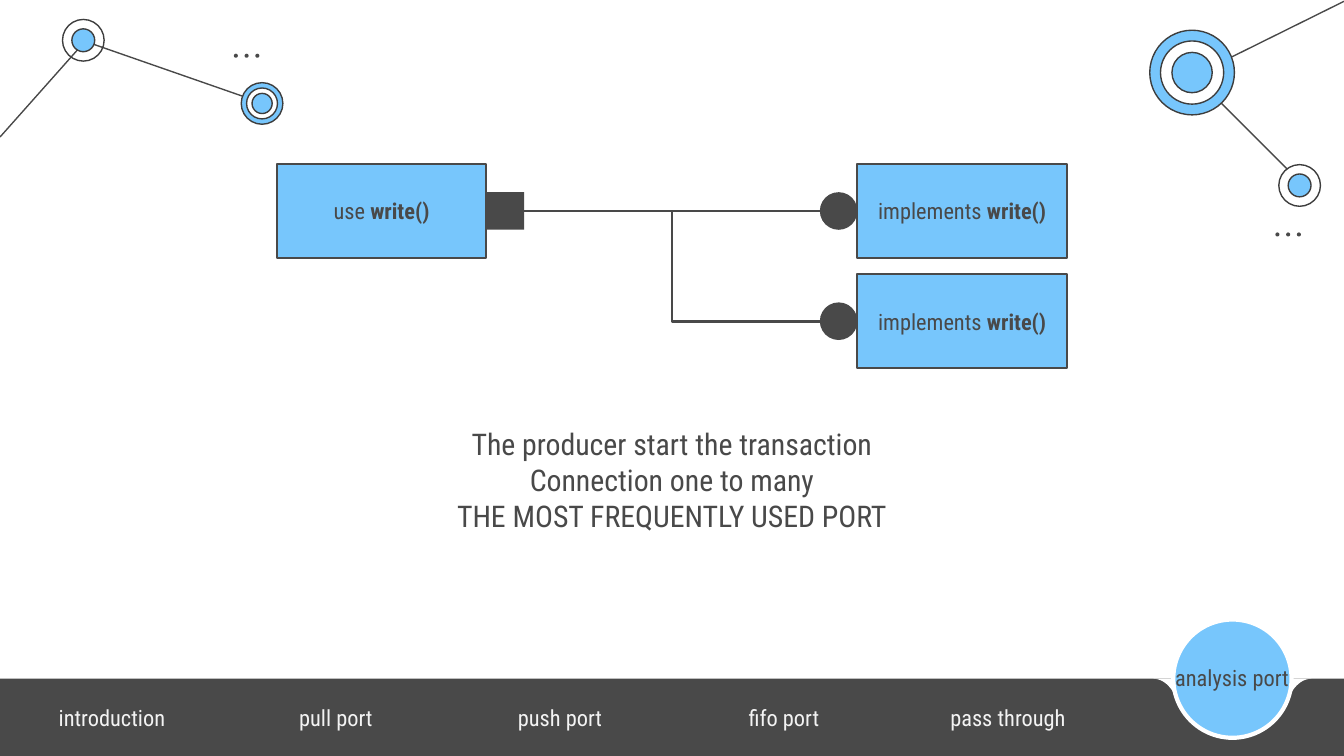
from dataclasses import dataclass

from lxml import etree
from pptx import Presentation
from pptx.dml.color import RGBColor
from pptx.enum.shapes import MSO_CONNECTOR, MSO_SHAPE
from pptx.enum.text import MSO_ANCHOR, PP_ALIGN
from pptx.oxml.ns import qn
from pptx.util import Emu, Pt

RECTANGLE, ELLIPSE = MSO_SHAPE.RECTANGLE, MSO_SHAPE.OVAL
STRAIGHT, ELBOW = MSO_CONNECTOR.STRAIGHT, MSO_CONNECTOR.ELBOW
CENTER, MIDDLE, TOP = PP_ALIGN.CENTER, MSO_ANCHOR.MIDDLE, MSO_ANCHOR.TOP
RIGHT_SIDE = 3

EMU_PER_PX = 9144  # 100 px to the inch
SLIDE_WIDTH = 1000
BAR_TOP, BAR_HEIGHT = 505, 58
BOX_WIDTH, BOX_HEIGHT, PORT_SIZE = 156, 70, 28


@dataclass(frozen=True)
class Theme:
    font: str = "Roboto Condensed"
    dark: str = "494949"
    outline: str = "3D3D3D"
    blue: str = "77C6FC"
    white: str = "FFFFFF"
    pale: str = "F3F3F3"
    label_size: int = 12
    body_size: int = 16


THEME = Theme()

NAVIGATION = ["introduction", "pull port", "push port", "fifo port", "pass through"]
SUMMARY = [
    "The producer start the transaction",
    "Connection one to many",
    "THE MOST FREQUENTLY USED PORT",
]
# Centre x, centre y, then (diameter, fill) from the outside in
TARGETS = [
    (62, 30, [(31, None), (17, THEME.blue)]),
    (195, 77, [(31, THEME.blue), (23, THEME.white), (15, THEME.blue)]),
    (887, 54, [(63, THEME.blue), (47, THEME.white), (30, THEME.blue)]),
    (967, 138, [(31, THEME.white), (17, THEME.blue)]),
]
TARGET_LINKS = [
    (967, 135, 887, 55),
    (64, 31, 196, 77),
    (0, 102, 64, 30),
    (1000, 1, 891, 55),
]
DOT_ROWS = [(174, 40), (949, 173)]


def px(length):
    return Emu(round(length * EMU_PER_PX))


def color(value):
    return RGBColor.from_string(value)


def apply_format(target, values):
    for name, value in values.items():
        setattr(target, name, value)


def paint(shape, fill, line=None, width=0.75):
    shape.shadow.inherit = False
    if fill:
        shape.fill.solid()
        shape.fill.fore_color.rgb = color(fill)
    else:
        shape.fill.background()
    if line:
        shape.line.color.rgb = color(line)
        shape.line.width = Pt(width)
    else:
        shape.line.fill.background()


def add_shape(slide, kind, x, y, width, height, fill, line=None, line_width=0.75):
    shape = slide.shapes.add_shape(kind, px(x), px(y), px(width), px(height))
    paint(shape, fill, line, line_width)
    return shape


def add_line(slide, points, width=0.75, kind=STRAIGHT):
    connector = slide.shapes.add_connector(kind, *[px(value) for value in points])
    connector.line.color.rgb = color(THEME.dark)
    connector.line.width = Pt(width)
    etree.SubElement(connector._element.spPr, qn("a:effectLst"))
    return connector


def write(shape, paragraphs, size=THEME.label_size, text_color=THEME.dark, anchor=MIDDLE):
    """Each paragraph is a list of (text, bold) runs."""
    frame = shape.text_frame
    apply_format(frame, {"word_wrap": True, "vertical_anchor": anchor})
    for index, runs in enumerate(paragraphs):
        paragraph = frame.add_paragraph() if index else frame.paragraphs[0]
        paragraph.alignment = CENTER
        for text, bold in runs:
            run = paragraph.add_run()
            run.text = text
            apply_format(run.font, {"name": THEME.font, "size": Pt(size), "bold": bold})
            run.font.color.rgb = color(text_color)


def add_text(slide, x, y, width, height, lines, **style):
    box = slide.shapes.add_textbox(px(x), px(y), px(width), px(height))
    write(box, [[(line, False)] for line in lines], **style)
    return box


def add_target(slide, center_x, center_y, rings):
    for diameter, fill in rings:
        x, y = center_x - diameter / 2, center_y - diameter / 2
        add_shape(slide, ELLIPSE, x, y, diameter, diameter, fill, THEME.outline)


def add_dots(slide, x, y):
    for index in range(3):
        add_shape(slide, ELLIPSE, x + 8 * index, y, 3, 3, THEME.dark)


def curve_points(start, control_1, control_2, end, steps=12):
    points = []
    for step in range(steps + 1):
        t = step / steps
        weights = ((1 - t) ** 3, 3 * t * (1 - t) ** 2, 3 * t ** 2 * (1 - t), t ** 3)
        corners = (start, control_1, control_2, end)
        points.append(tuple(sum(w * c[axis] for w, c in zip(weights, corners))
                            for axis in (0, 1)))
    return points


def add_notch(slide, center_x, side):
    """White cut-out beside the tab circle; side is -1 for left, 1 for right."""
    curve = curve_points((43, 12), (47, 4), (53, 0), (59, 0))
    outline = [(59, 0), (34, 0), (34, 15), (41, 15)] + curve
    points = [(px(center_x + side * x), px(BAR_TOP + y)) for x, y in outline]
    builder = slide.shapes.build_freeform(*points[0], scale=1.0)
    builder.add_line_segments(points[1:], close=True)
    paint(builder.convert_to_shape(), THEME.white)


def add_block(slide, x, y, verb):
    block = add_shape(slide, RECTANGLE, x, y, BOX_WIDTH, BOX_HEIGHT,
                      THEME.blue, THEME.dark, 1)
    write(block, [[(verb + " ", False), ("write()", True)]])


def add_background(slide):
    for link in TARGET_LINKS:
        add_line(slide, link)
    for target in TARGETS:
        add_target(slide, *target)
    for row in DOT_ROWS:
        add_dots(slide, *row)


def add_navigation(slide):
    add_shape(slide, RECTANGLE, 0, BAR_TOP, SLIDE_WIDTH, BAR_HEIGHT, THEME.dark)
    column = SLIDE_WIDTH / 6
    for index, label in enumerate(NAVIGATION):
        add_text(slide, index * column, BAR_TOP, column, BAR_HEIGHT, [label],
                 text_color=THEME.pale)
    # Current section tab
    for side in (-1, 1):
        add_notch(slide, 917, side)
    add_shape(slide, ELLIPSE, 873, 461, 88, 88, THEME.blue, THEME.white, 2.25)
    add_text(slide, 5 * column, 475, column, BAR_HEIGHT, ["analysis port"])


def add_diagram(slide):
    producer_x, consumer_x, top = 206, 638, 122
    port_x, export_x = producer_x + BOX_WIDTH, consumer_x - PORT_SIZE
    middle = top + BOX_HEIGHT // 2
    start = (port_x + PORT_SIZE, middle)

    # Producer and its port
    add_block(slide, producer_x, top, "use")
    port = add_shape(slide, RECTANGLE, port_x, middle - PORT_SIZE // 2,
                     PORT_SIZE, PORT_SIZE, THEME.dark)

    # Consumers, each with its export and connection
    for offset, kind in ((0, STRAIGHT), (82, ELBOW)):
        add_block(slide, consumer_x, top + offset, "implements")
        add_shape(slide, ELLIPSE, export_x, middle + offset - PORT_SIZE // 2,
                  PORT_SIZE, PORT_SIZE, THEME.dark)
        wire = add_line(slide, (*start, export_x, middle + offset), 1.5, kind)
        if kind == STRAIGHT:
            wire.begin_connect(port, RIGHT_SIDE)


def main():
    presentation = Presentation()
    presentation.slide_width = px(SLIDE_WIDTH)
    presentation.slide_height = px(SLIDE_WIDTH * 9 / 16)
    slide = presentation.slides.add_slide(presentation.slide_layouts[6])

    add_background(slide)
    add_navigation(slide)
    summary = add_text(slide, 237, 307, 526, 124, SUMMARY,
                       size=THEME.body_size, anchor=TOP)
    sides = ("left", "top", "right", "bottom")
    apply_format(summary.text_frame, {"margin_" + side: px(10) for side in sides})
    add_diagram(slide)

    presentation.save("out.pptx")


if __name__ == "__main__":
    main()
